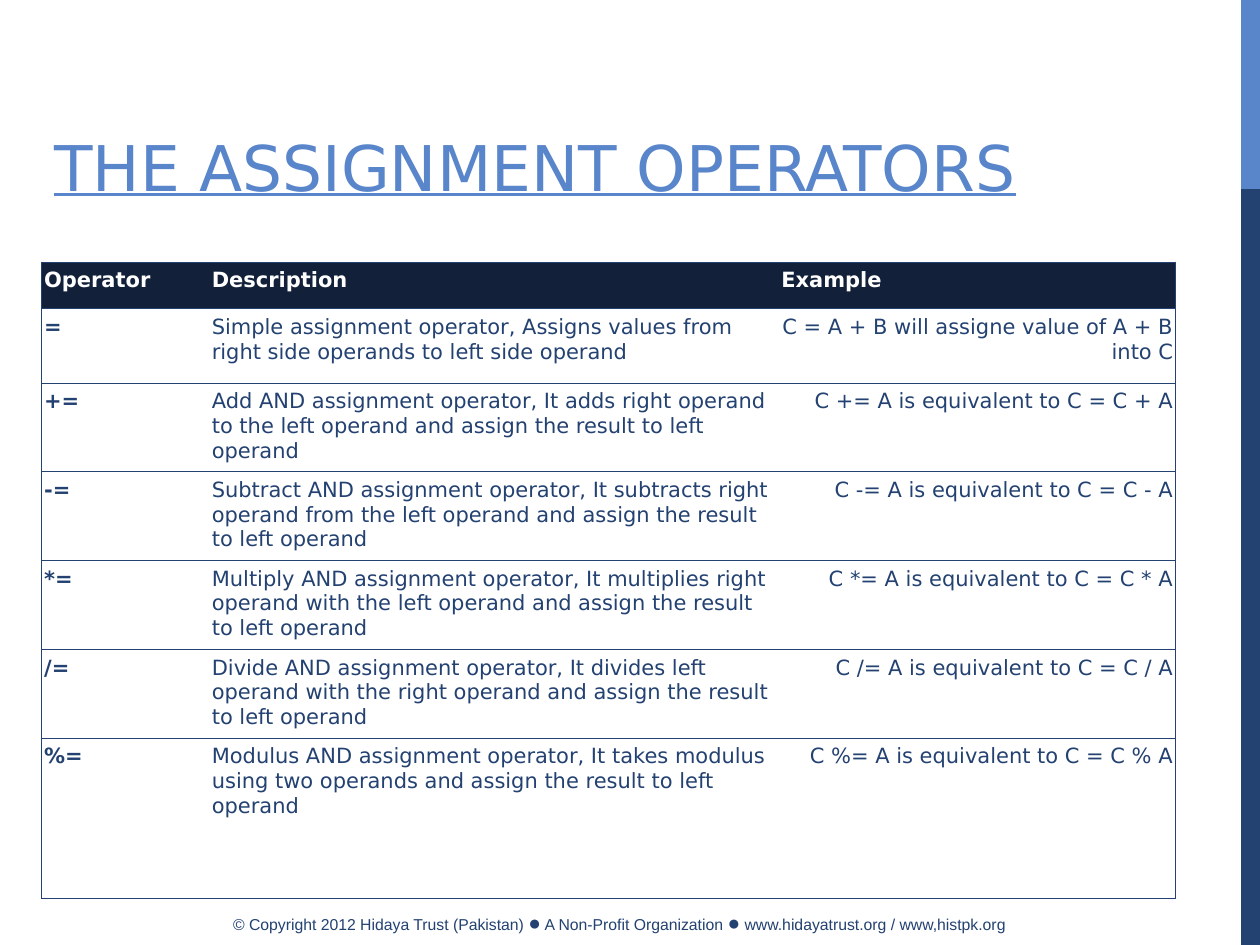
from lxml.etree import SubElement
from pptx import Presentation
from pptx.dml.color import RGBColor
from pptx.enum.shapes import MSO_SHAPE
from pptx.enum.text import MSO_ANCHOR, MSO_AUTO_SIZE, PP_ALIGN
from pptx.oxml.ns import qn
from pptx.util import Cm, Pt

NAVY = RGBColor(0x23, 0x41, 0x71)
DARK_NAVY = RGBColor(0x12, 0x20, 0x39)
BLUE = RGBColor(0x59, 0x85, 0xCB)
WHITE = RGBColor(0xFF, 0xFF, 0xFF)
BODY_FONT = "DejaVu Sans"


def add_span(para, text, font, size, color, bold=False):
    span = para.add_run()
    span.text = text
    span.font.name = font
    span.font.size = Pt(size)
    span.font.color.rgb = color
    span.font.bold = bold
    return span


def set_border(cell, side, visible):
    line = SubElement(cell._tc.get_or_add_tcPr(), qn(f"a:ln{side}"), w=str(Pt(0.45)))
    if visible:
        fill = SubElement(line, qn("a:solidFill"))
        SubElement(fill, qn("a:srgbClr"), val=str(NAVY))
    else:
        SubElement(line, qn("a:noFill"))


deck = Presentation()
deck.slide_width = Cm(25.4)
deck.slide_height = Cm(19.05)
page = deck.slides.add_slide(deck.slide_layouts[5])

# Footer
footer = page.shapes.add_textbox(Cm(3.81), Cm(18.21), Cm(17.35), Cm(0.76))
footer.text_frame.word_wrap = True
para = footer.text_frame.paragraphs[0]
para.alignment = PP_ALIGN.CENTER
for text, size in [
    ("© Copyright 2012 Hidaya Trust (Pakistan) ", 9),
    ("●", 12),
    (" A Non-Profit Organization ", 9),
    ("●", 12),
    (" www.hidayatrust.org / www,histpk.org", 9),
]:
    add_span(para, text, "Arial", size, NAVY)

# Side bars
for height, color in [(19.05, NAVY), (3.81, BLUE)]:
    bar = page.shapes.add_shape(MSO_SHAPE.RECTANGLE, Cm(25.02), 0, Cm(0.38), Cm(height))
    bar.shadow.inherit = False
    bar.fill.solid()
    bar.fill.fore_color.rgb = color
    bar.line.fill.background()

# Title
title = page.shapes.title
title.left, title.top, title.width, title.height = Cm(0.84), Cm(2.34), Cm(23.06), Cm(1.9)
frame = title.text_frame
frame.auto_size = MSO_AUTO_SIZE.NONE
frame.vertical_anchor = MSO_ANCHOR.BOTTOM
para = frame.paragraphs[0]
para.alignment = PP_ALIGN.LEFT
span = add_span(para, "THE ASSIGNMENT OPERATORS", BODY_FONT, 36, BLUE)
span.font.underline = True

# Operator table
rows = [
    ("Operator", "Description", "Example"),
    ("=", "Simple assignment operator, Assigns values from right side operands to left side operand",
     "C = A + B will assigne value of A + B into C"),
    ("+=", "Add AND assignment operator, It adds right operand to the left operand and assign the result to left operand",
     "C += A is equivalent to C = C + A"),
    ("-=", "Subtract AND assignment operator, It subtracts right operand from the left operand and assign the result to left operand",
     "C -= A is equivalent to C = C - A"),
    ("*=", "Multiply AND assignment operator, It multiplies right operand with the left operand and assign the result to left operand",
     "C *= A is equivalent to C = C * A"),
    ("/=", "Divide AND assignment operator, It divides left operand with the right operand and assign the result to left operand",
     "C /= A is equivalent to C = C / A"),
    ("%=", "Modulus AND assignment operator, It takes modulus using two operands and assign the result to left operand",
     "C %= A is equivalent to C = C % A"),
]
widths = [3.38, 11.48, 8]
heights = [0.94, 1.5, 1.63, 1.78, 1.8, 1.63, 3.23]
table = page.shapes.add_table(
    len(rows), len(widths), Cm(0.84), Cm(5.28), Cm(sum(widths)), Cm(sum(heights))
).table
for column, width in zip(table.columns, widths):
    column.width = Cm(width)
for row, height in zip(table.rows, heights):
    row.height = Cm(height)

last = len(widths) - 1
for i, texts in enumerate(rows):
    for j, text in enumerate(texts):
        cell = table.cell(i, j)
        header = i == 0
        cell.margin_left = cell.margin_right = Cm(0.05)
        cell.margin_top = cell.margin_bottom = Cm(0.13)
        # Outer frame and row rules only, no lines between columns
        for side, visible in [("L", j == 0), ("R", j == last), ("T", True), ("B", True)]:
            set_border(cell, side, visible)
        cell.fill.solid()
        cell.fill.fore_color.rgb = DARK_NAVY if header else WHITE
        para = cell.text_frame.paragraphs[0]
        para.alignment = PP_ALIGN.RIGHT if j == last and not header else PP_ALIGN.LEFT
        add_span(para, text, BODY_FONT, 12, WHITE if header else NAVY, header or j == 0)

deck.save("out.pptx")
